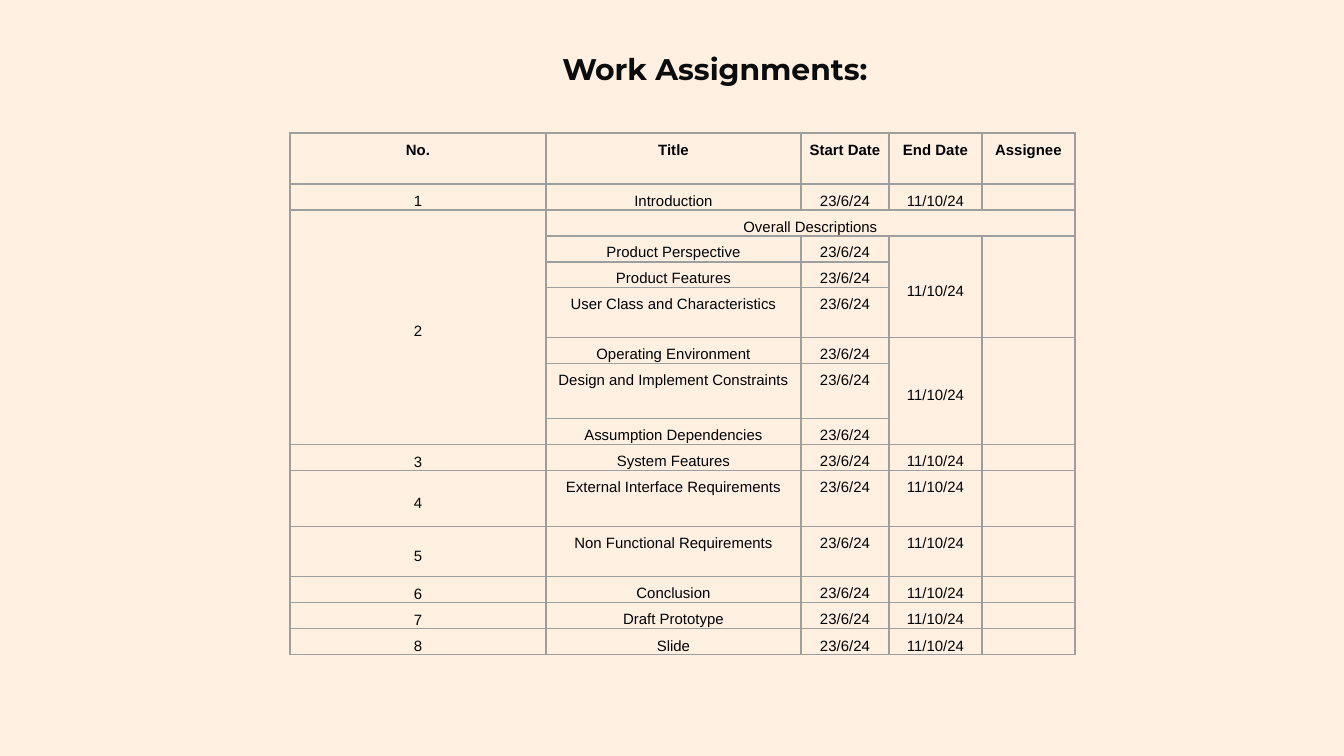
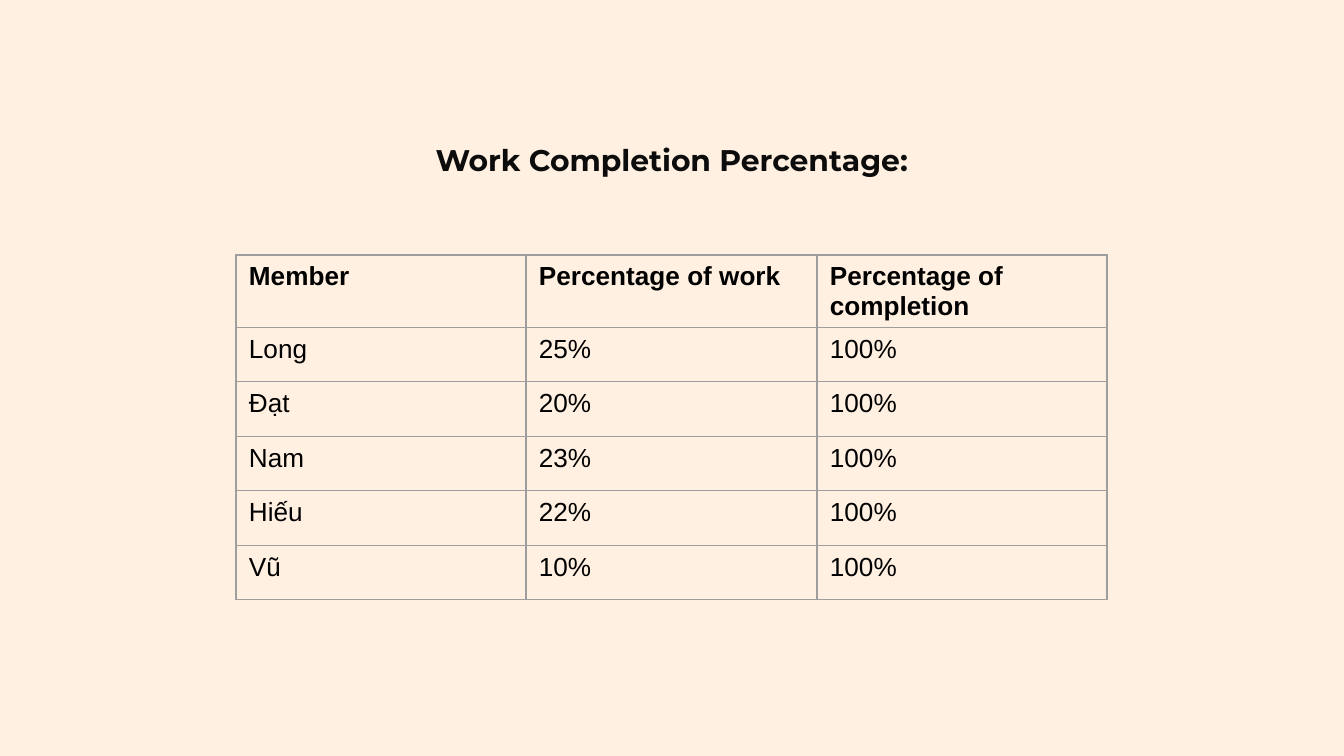
from dataclasses import dataclass

from lxml import etree
from pptx import Presentation
from pptx import util as u
from pptx.dml import color
from pptx.enum import text
from pptx.oxml import ns

PX = 914400 / 134.4


def px(n):
    return u.Emu(round(n * PX))


@dataclass(frozen=True)
class Theme:
    background: str = "FFF0E1"
    title_color: str = "0C0C0C"
    body_color: str = "000000"
    border_color: str = "9E9E9E"
    border_width: float = 0.75
    title_font: str = "Montserrat"
    body_font: str = "Arial"
    title_size: int = 16
    plan_size: int = 8
    share_size: int = 14


@dataclass(frozen=True)
class CellStyle:
    size: int
    margin_x: int
    margin_y: int
    align: text.PP_ALIGN = text.PP_ALIGN.LEFT
    spacing: float = 1.0
    hanging: int = 0


class Deck:
    """Builds themed slides, one element at a time."""

    def __init__(self, theme, width, height):
        self.theme = theme
        self.prs = Presentation()
        self.prs.slide_width, self.prs.slide_height = px(width), px(height)
        self.slide = None

    def add_slide(self):
        self.slide = self.prs.slides.add_slide(self.prs.slide_layouts[5])
        fill = self.slide.background.fill
        fill.solid()
        fill.fore_color.rgb = color.RGBColor.from_string(self.theme.background)

    def run(self, p, words, font, size, rgb, bold):
        r = p.add_run()
        r.text = words
        r.font.name, r.font.size, r.font.bold = font, u.Pt(size), bold
        r.font.color.rgb = color.RGBColor.from_string(rgb)

    def title(self, words, left, top, width=1134, height=85):
        sp = self.slide.shapes.title
        sp.left, sp.top, sp.width, sp.height = map(px, (left, top, width, height))
        tf = sp.text_frame
        tf.word_wrap = True
        tf.auto_size = text.MSO_AUTO_SIZE.NONE
        tf.vertical_anchor = text.MSO_ANCHOR.TOP
        tf.margin_left = tf.margin_right = tf.margin_top = tf.margin_bottom = px(13)
        p = tf.paragraphs[0]
        p.alignment = text.PP_ALIGN.CENTER
        t = self.theme
        self.run(p, words, t.title_font, t.title_size, t.title_color, True)

    def borders(self, cell):
        tc_pr = cell._tc.get_or_add_tcPr()
        for side in ("a:lnL", "a:lnR", "a:lnT", "a:lnB"):
            ln = etree.SubElement(tc_pr, ns.qn(side), w=str(u.Pt(self.theme.border_width)))
            fill = etree.SubElement(ln, ns.qn("a:solidFill"))
            etree.SubElement(fill, ns.qn("a:srgbClr"), val=self.theme.border_color)

    def cell(self, cell, words, style, bold, middle):
        self.borders(cell)
        cell.fill.background()
        cell.margin_left = cell.margin_right = px(style.margin_x)
        cell.margin_top = cell.margin_bottom = px(style.margin_y)
        cell.vertical_anchor = text.MSO_ANCHOR.MIDDLE if middle else text.MSO_ANCHOR.TOP
        p = cell.text_frame.paragraphs[0]
        p.alignment = style.align
        p.line_spacing = style.spacing
        if style.hanging:
            p_pr = p._p.get_or_add_pPr()
            p_pr.set("marL", str(px(style.hanging)))
            p_pr.set("indent", str(-px(style.hanging)))
        if words:
            t = self.theme
            self.run(p, words, t.body_font, style.size, t.body_color, bold)
        else:
            etree.SubElement(p._p, ns.qn("a:endParaRPr"), sz=str(style.size * 100))

    def table(self, left, top, widths, heights, rows, style, merges=(), middles=()):
        frame = self.slide.shapes.add_table(
            len(rows), len(widths), px(left), px(top), px(sum(widths)), px(sum(heights)))
        tbl = frame.table
        tbl.first_row = tbl.horz_banding = False
        for column, width in zip(tbl.columns, widths):
            column.width = px(width)
        for row, height in zip(tbl.rows, heights):
            row.height = px(height)
        for i, row in enumerate(rows):
            for j, words in enumerate(row):
                self.cell(tbl.cell(i, j), words, style, i == 0, (i, j) in middles)
        for first, last in merges:
            tbl.cell(*first).merge(tbl.cell(*last))


def assignments(deck):
    start, end = "23/6/24", "11/10/24"
    tasks = [
        ("1", "Introduction", start, end),
        ("2", "Overall Descriptions", "", ""),
        ("", "Product Perspective", start, end),
        ("", "Product Features", start, ""),
        ("", "User Class and Characteristics", start, ""),
        ("", "Operating Environment", start, end),
        ("", "Design and Implement Constraints", start, ""),
        ("", "Assumption Dependencies", start, ""),
        ("3", "System Features", start, end),
        ("4", "External Interface Requirements", start, end),
        ("5", "Non Functional Requirements", start, end),
        ("6", "Conclusion", start, end),
        ("7", "Draft Prototype", start, end),
        ("8", "Slide", start, end),
    ]
    rows = [("No.", "Title", "Start Date", "End Date", "Assignee")]
    rows += [task + ("",) for task in tasks]
    tall = {0: 51, 5: 50, 7: 55, 10: 56, 11: 50}
    heights = [tall.get(i, 26) for i in range(len(rows))]
    merges = [((2, 0), (8, 0)), ((2, 1), (2, 4))]
    merges += [((i, j), (i + 2, j)) for i in (3, 6) for j in (3, 4)]
    last = len(rows) - 1
    middles = {(i, 0) for i in range(1, last)} | {(last, j) for j in range(4)}
    middles |= {(3, 3), (6, 3)}
    style = CellStyle(deck.theme.plan_size, 7, 0, text.PP_ALIGN.CENTER, 1.5, 34)
    deck.add_slide()
    deck.table(290, 133, [256, 255, 88, 93, 93], heights, rows, style, merges, middles)
    deck.title("Work Assignments:", 148, 38)


def completion(deck):
    shares = {"Long": 25, "Đạt": 20, "Nam": 23, "Hiếu": 22, "Vũ": 10}
    rows = [("Member", "Percentage of work", "Percentage of completion")]
    rows += [(member, f"{share}%", "100%") for member, share in shares.items()]
    heights = [72, 54, 55, 54, 55, 54]
    deck.add_slide()
    deck.title("Work Completion Percentage:", 105, 129)
    deck.table(236, 255, [290, 291, 290], heights, rows,
               CellStyle(deck.theme.share_size, 13, 7))


def main():
    deck = Deck(Theme(), 1344, 756)
    assignments(deck)
    completion(deck)
    deck.prs.save("out.pptx")


if __name__ == "__main__":
    main()
